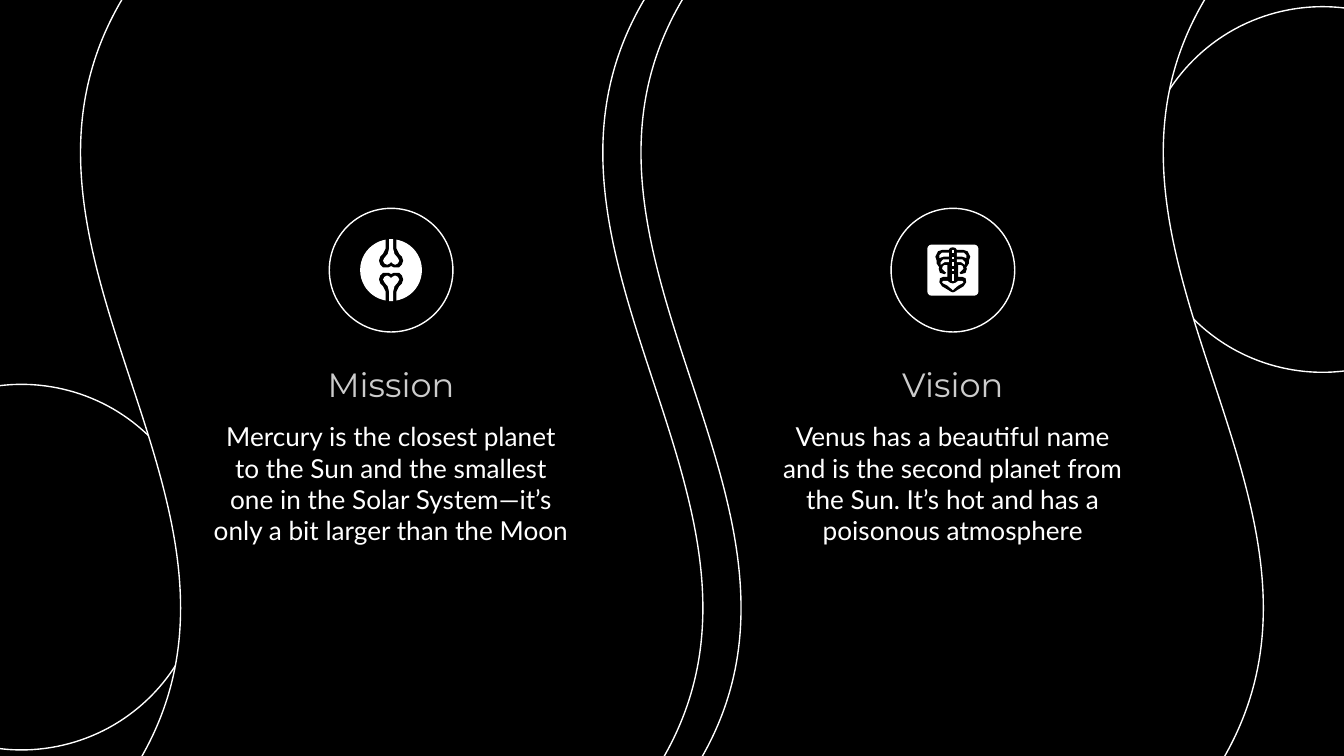
from pptx import Presentation, util as u
from pptx.dml import color
from pptx.enum import shapes, text

WIDE = 10
HIGH = WIDE * 9 / 16
BLACK, WHITE, GREY = "000000", "FFFFFF", "CCCCCC"
KIND = shapes.MSO_SHAPE
MID = 20.1
TOPICS = [
    (29.1, "Mission", "Mercury is the closest planet to the Sun and the smallest one "
     "in the Solar System—it’s only a bit larger than the Moon"),
    (70.9, "Vision", "Venus has a beautiful name and is the second planet from the Sun. "
     "It’s hot and has a poisonous atmosphere"),
]
JOINT = [(-4, -23.5), (-4, -16), (-6, -12), (-8, -10), (-9, -7), (-8, -4),
         (-6, -2), (-4, -2), (-2, -2), (0, -3)]
BONE = [(-1.5, -23), (-1.5, -16), (-2.5, -12), (-5, -9), (-6, -7), (-5, -5),
        (-3, -4), (-1, -5), (0, -6)]
CAGE = [(0, -17), (-2, -16.5), (-3, -15), (-8, -15), (-11, -14), (-13, -10),
        (-12, -7), (-12, -5), (-10, -2), (-10.5, -1), (-9.5, 2), (-6, 3),
        (-5, 2), (-6, 1), (-8, -1), (-7.5, -3), (-6, -4), (-4, -4), (-4, 5),
        (-7, 5), (-9.5, 6), (-10, 9), (-8, 12), (-3, 15), (-1.5, 16), (0, 16.5)]
HIPS = [(0, 10), (-2, 9.5), (-4, 8), (-7, 8), (-8, 9), (-7, 10), (-4, 11.5),
        (-1, 14), (0, 15)]
RIBS = [
    [(-3, -13), (-8, -13), (-10, -11), (-10, -9), (-7, -10), (-3, -10)],
    [(-3, -8), (-7, -8), (-9, -6), (-9, -4), (-6, -6), (-3, -6)],
]


def share(part):
    return u.Inches(part * WIDE / 100)


def frame(mid, row, wide, high):
    return [share(n) for n in (mid - wide / 2, row - high / 2, wide, high)]


def tint(code):
    return color.RGBColor.from_string(code)


def paint(item, fill, line=None):
    item.shadow.inherit = False
    item.fill.solid()
    item.fill.fore_color.rgb = tint(fill)
    if line:
        item.line.color.rgb = tint(line)
        item.line.width = u.Pt(0.75)
    else:
        item.line.fill.background()
    return item


def shape(slide, kind, place, fill=BLACK, line=WHITE):
    return paint(slide.shapes.add_shape(kind, *frame(*place)), fill, line)


def wave(slide, mid):
    item = shape(slide, KIND.WAVE, (mid, 28.3, 58.7, 46.6))
    item.adjustments[0] = 0.083
    item.adjustments[1] = 0
    item.rotation = 270
    item._element.spPr.xfrm.set("flipH", "1")


def write(slide, words, place, size, font, ink, anchor):
    body = slide.shapes.add_textbox(*frame(*place)).text_frame
    body.word_wrap = True
    body.vertical_anchor = anchor
    body.margin_left = body.margin_right = u.Inches(0.1)
    body.margin_top = body.margin_bottom = u.Inches(0.1)
    para = body.paragraphs[0]
    para.alignment = text.PP_ALIGN.CENTER
    run = para.add_run()
    run.text = words
    run.font.size = u.Pt(size)
    run.font.name = font
    run.font.color.rgb = tint(ink)


def trace(slide, mid, dots, fill):
    dots = [(x * 10, y * 10) for x, y in dots]
    path = slide.shapes.build_freeform(*dots[0], scale=u.Inches(1) / 1000)
    path.add_line_segments(dots[1:], close=True)
    paint(path.convert_to_shape(share(mid), share(MID)), fill)


def flip(dots, across=-1, down=1):
    return [(x * across, y * down) for x, y in dots]


def whole(half):
    return half + flip(half)[::-1]


def knee(slide, mid):
    shape(slide, KIND.OVAL, (mid, MID, 4.6, 4.6), WHITE, None)
    for half, fill in ((JOINT, BLACK), (BONE, WHITE)):
        for side in (1, -1):
            trace(slide, mid, flip(whole(half), 1, side), fill)


def chest(slide, mid):
    card = shape(slide, KIND.ROUNDED_RECTANGLE, (mid, MID, 3.8, 3.8), WHITE, None)
    card.adjustments[0] = 0.08
    trace(slide, mid, whole(CAGE), BLACK)
    trace(slide, mid, whole(HIPS), WHITE)
    for rib in RIBS:
        for side in (1, -1):
            trace(slide, mid, flip(rib, side), WHITE)
    for top, tall in ((-15, 2), (-10, 2), (-6, 3), (-1, 2), (3, 5)):
        trace(slide, mid, whole([(-1, top), (-1, top + tall)]), WHITE)


def main():
    deck = Presentation()
    deck.slide_width, deck.slide_height = u.Inches(WIDE), u.Inches(HIGH)
    slide = deck.slides.add_slide(deck.slide_layouts[6])
    back = slide.background.fill
    back.solid()
    back.fore_color.rgb = tint(BLACK)

    for mid, row in ((1.6, 42.2), (98.4, 14.1)):
        shape(slide, KIND.OVAL, (mid, row, 27.2, 27.2))
    for mid in (29.15, 70.85):
        wave(slide, mid)
    for (mid, head, body), icon in zip(TOPICS, (knee, chest)):
        write(slide, head, (mid, 29.1, 28.6, 4), size=18, font="Montserrat",
              ink=GREY, anchor=text.MSO_ANCHOR.BOTTOM)
        write(slide, body, (mid, 35.45, 28.6, 10.3), size=14, font="Lato",
              ink=WHITE, anchor=text.MSO_ANCHOR.TOP)
        shape(slide, KIND.OVAL, (mid, MID, 9.2, 9.2))
        icon(slide, mid)
    deck.save("out.pptx")


if __name__ == "__main__":
    main()
